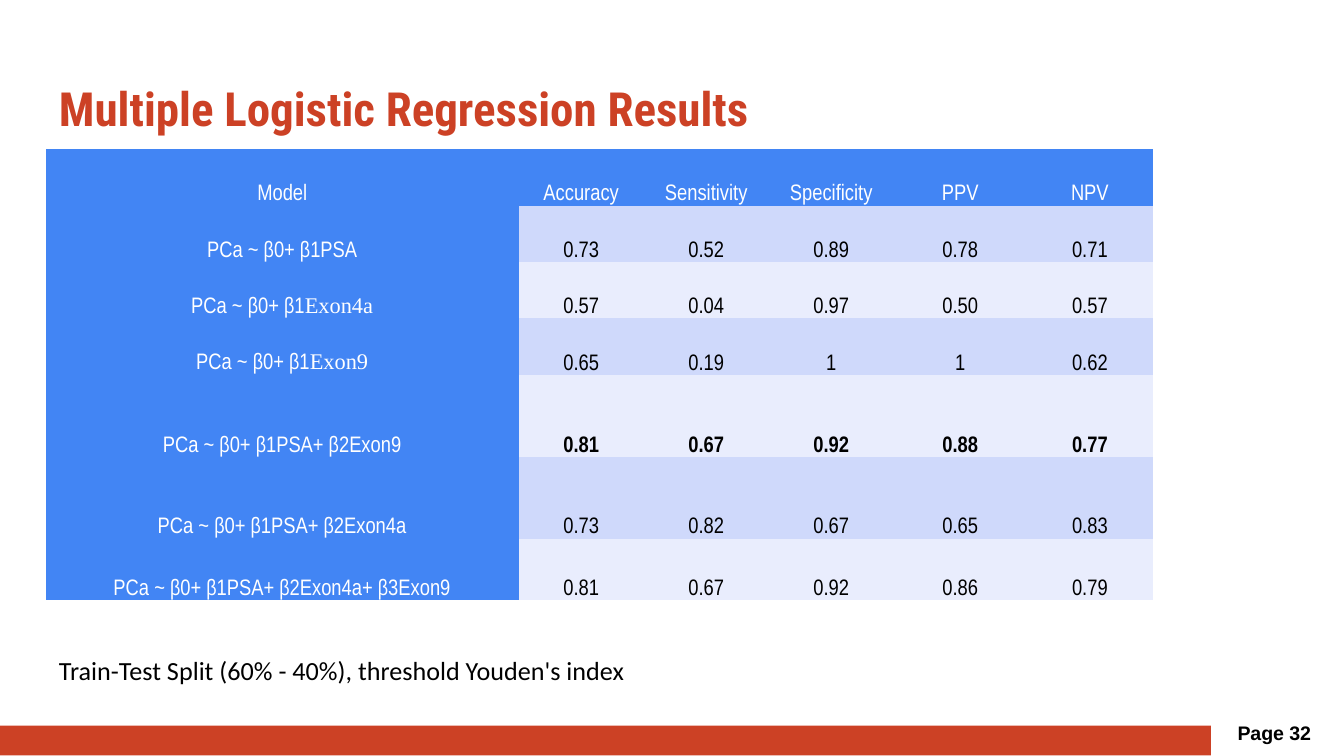
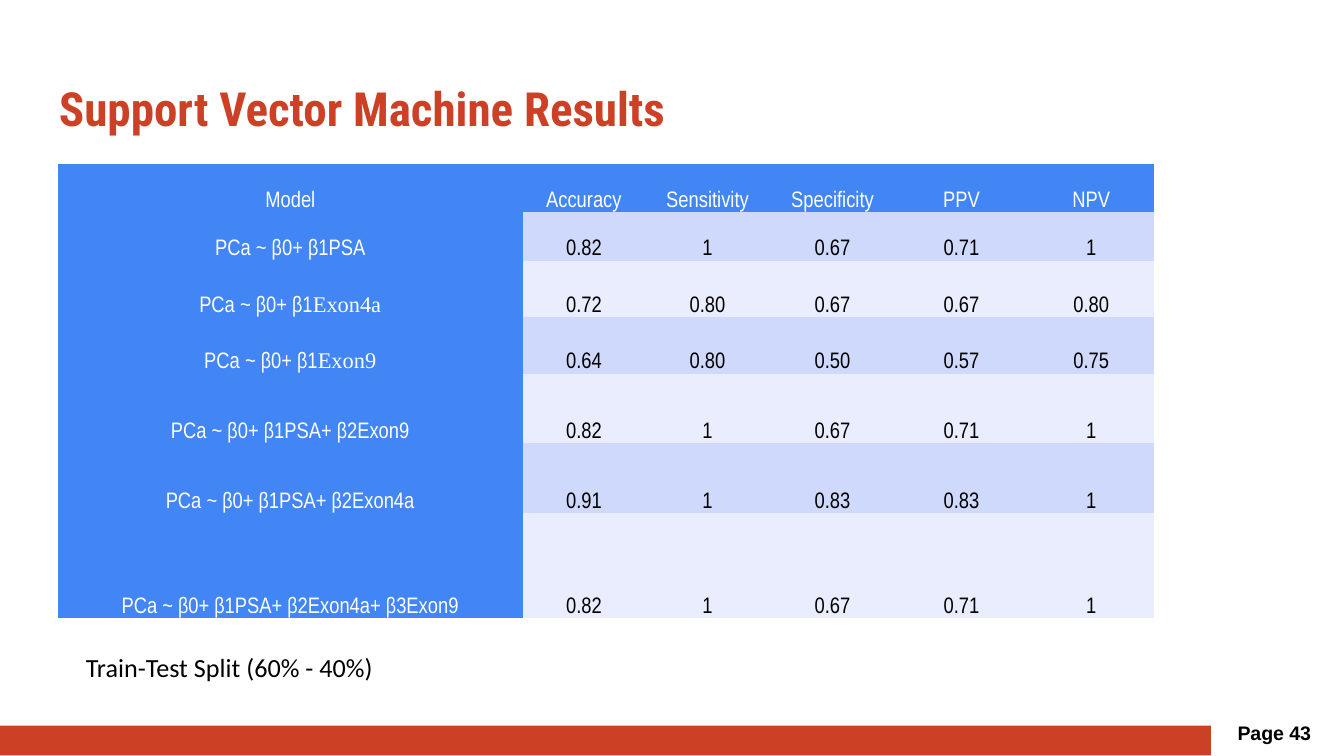
from pptx import Presentation
from pptx.dml.color import RGBColor
from pptx.enum.shapes import MSO_SHAPE
from pptx.enum.text import MSO_ANCHOR, PP_ALIGN
from pptx.util import Inches, Pt

RED, BLUE, WHITE, BLACK = "CC4125", "4285F4", "FFFFFF", "000000"
BANDS = ("CFD9FB", "E9EDFD")
NO_GRID_STYLE = "{2D5ABB26-0587-4C30-8999-92F81FD0307C}"
HEADINGS = ("Model", "Accuracy", "Sensitivity", "Specificity", "PPV", "NPV")
MODELS = (
    ("PCa ~ β0+ β1PSA",),
    ("PCa ~ β0+ β1", "Exon4a"),
    ("PCa ~ β0+ β1", "Exon9"),
    ("PCa ~ β0+ β1PSA+ β2Exon9",),
    ("PCa ~ β0+ β1PSA+ β2Exon4a",),
    ("PCa ~ β0+ β1PSA+ β2Exon4a+ β3Exon9",),
)
LOGISTIC_SCORES = (
    ("0.73", "0.52", "0.89", "0.78", "0.71"),
    ("0.57", "0.04", "0.97", "0.50", "0.57"),
    ("0.65", "0.19", "1", "1", "0.62"),
    ("0.81", "0.67", "0.92", "0.88", "0.77"),
    ("0.73", "0.82", "0.67", "0.65", "0.83"),
    ("0.81", "0.67", "0.92", "0.86", "0.79"),
)
VECTOR_SCORES = (
    ("0.82", "1", "0.67", "0.71", "1"),
    ("0.72", "0.80", "0.67", "0.67", "0.80"),
    ("0.64", "0.80", "0.50", "0.57", "0.75"),
    ("0.82", "1", "0.67", "0.71", "1"),
    ("0.91", "1", "0.83", "0.83", "1"),
    ("0.82", "1", "0.67", "0.71", "1"),
)


def color(hex_string):
    """Turn a hex string into a colour."""
    return RGBColor.from_string(hex_string)


def style_font(font, name, size, hex_string, bold=False):
    """Set the typeface, size, colour and weight of a font."""
    font.name = name
    font.size = Pt(size)
    font.color.rgb = color(hex_string)
    font.bold = bold


def add_text(slide, box, text, name, size, hex_string=BLACK, bold=False, inset=(0.1, 0.05), wrap=False):
    """Add a one-line text box and return its paragraph."""
    frame = slide.shapes.add_textbox(*map(Inches, box)).text_frame
    frame.word_wrap = wrap
    frame.margin_left = frame.margin_right = Inches(inset[0])
    frame.margin_top = frame.margin_bottom = Inches(inset[1])
    paragraph = frame.paragraphs[0]
    paragraph.text = text
    style_font(paragraph.font, name, size, hex_string, bold)
    return paragraph


def add_base_slide(presentation, title, page):
    """Add a slide with its title, footer band and page number."""
    slide = presentation.slides.add_slide(presentation.slide_layouts[6])
    add_text(slide, (0.34, 0.49, 9.32, 0.63), title, "Roboto Condensed", 25.2, RED, True, (0.1, 0.1), True)
    band = slide.shapes.add_shape(MSO_SHAPE.RECTANGLE, *map(Inches, (0, 5.4, 9.01, 0.22)))
    band.shadow.inherit = False
    band.fill.solid()
    band.fill.fore_color.rgb = color(RED)
    band.line.fill.background()
    page_number = add_text(slide, (9.11, 5.33, 0.77, 0.37), f"Page {page}", "Arial", 10.5, BLACK, True, (0.1, 0.13))
    page_number.line_spacing = 0.8
    page_number.space_after = Pt(12)
    return slide


def fill_cell(cell, parts, fill, text_color, bold):
    """Fill a table cell; a second text part is set in a serif face."""
    cell.fill.solid()
    cell.fill.fore_color.rgb = color(fill)
    cell.vertical_anchor = MSO_ANCHOR.BOTTOM
    cell.margin_left = cell.margin_right = cell.margin_top = Inches(0.01)
    cell.margin_bottom = 0
    paragraph = cell.text_frame.paragraphs[0]
    paragraph.alignment = PP_ALIGN.CENTER
    style_font(paragraph.font, "Arial Narrow", 12, text_color, bold)
    for index, part in enumerate(parts):
        run = paragraph.add_run()
        run.text = part
        if index:
            run.font.name = "Times New Roman"


def add_results_table(slide, left, top, widths, heights, scores, best_row=None):
    """Add the table of scores for each model, with the best row in bold."""
    rows = [[(heading,) for heading in HEADINGS]]
    rows += [[model, *((score,) for score in values)] for model, values in zip(MODELS, scores)]
    box = (left, top, sum(widths), sum(heights))
    frame = slide.shapes.add_table(len(rows), len(HEADINGS), *map(Inches, box))
    table = frame.table
    table._tbl.tblPr.find("{*}tableStyleId").text = NO_GRID_STYLE
    for column, width in zip(table.columns, widths):
        column.width = Inches(width)
    for row, height in zip(table.rows, heights):
        row.height = Inches(height)
    for row_index, row in enumerate(rows):
        for column_index, parts in enumerate(row):
            heading = row_index == 0 or column_index == 0
            fill = BLUE if heading else BANDS[(row_index - 1) % 2]
            bold = row_index == best_row and not heading
            fill_cell(table.cell(row_index, column_index), parts, fill, WHITE if heading else BLACK, bold)


def main():
    """Build both result slides and save them."""
    presentation = Presentation()
    presentation.slide_width = Inches(10)
    presentation.slide_height = Inches(10) * 9 // 16

    slide = add_base_slide(presentation, "Multiple Logistic Regression Results", 32)
    add_results_table(slide, 0.34, 1.11, (3.52, 0.93, 0.93, 0.93, 0.99, 0.94),
                      (0.42, 0.42, 0.42, 0.42, 0.61, 0.61, 0.46), LOGISTIC_SCORES, best_row=4)
    add_text(slide, (0.34, 4.82, 4.6, 0.34), "Train-Test Split (60% - 40%), threshold Youden's index", "Calibri", 14)

    slide = add_base_slide(presentation, "Support Vector Machine Results", 43)
    add_results_table(slide, 0.43, 1.22, (3.46, 0.91, 0.93, 0.93, 0.99, 0.94),
                      (0.36, 0.36, 0.42, 0.42, 0.52, 0.52, 0.78), VECTOR_SCORES)
    add_text(slide, (0.54, 4.8, 2.39, 0.34), "Train-Test Split (60% - 40%)", "Calibri", 14)

    presentation.save("out.pptx")


if __name__ == "__main__":
    main()
